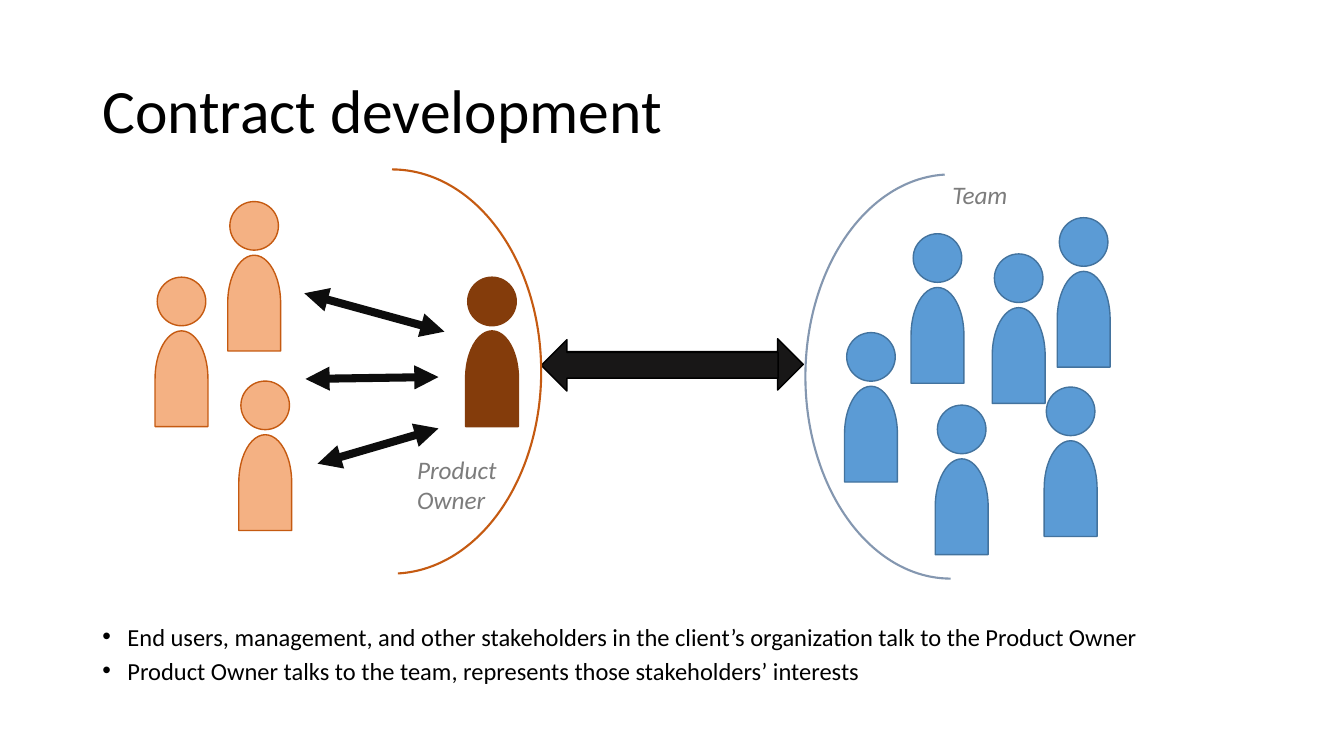
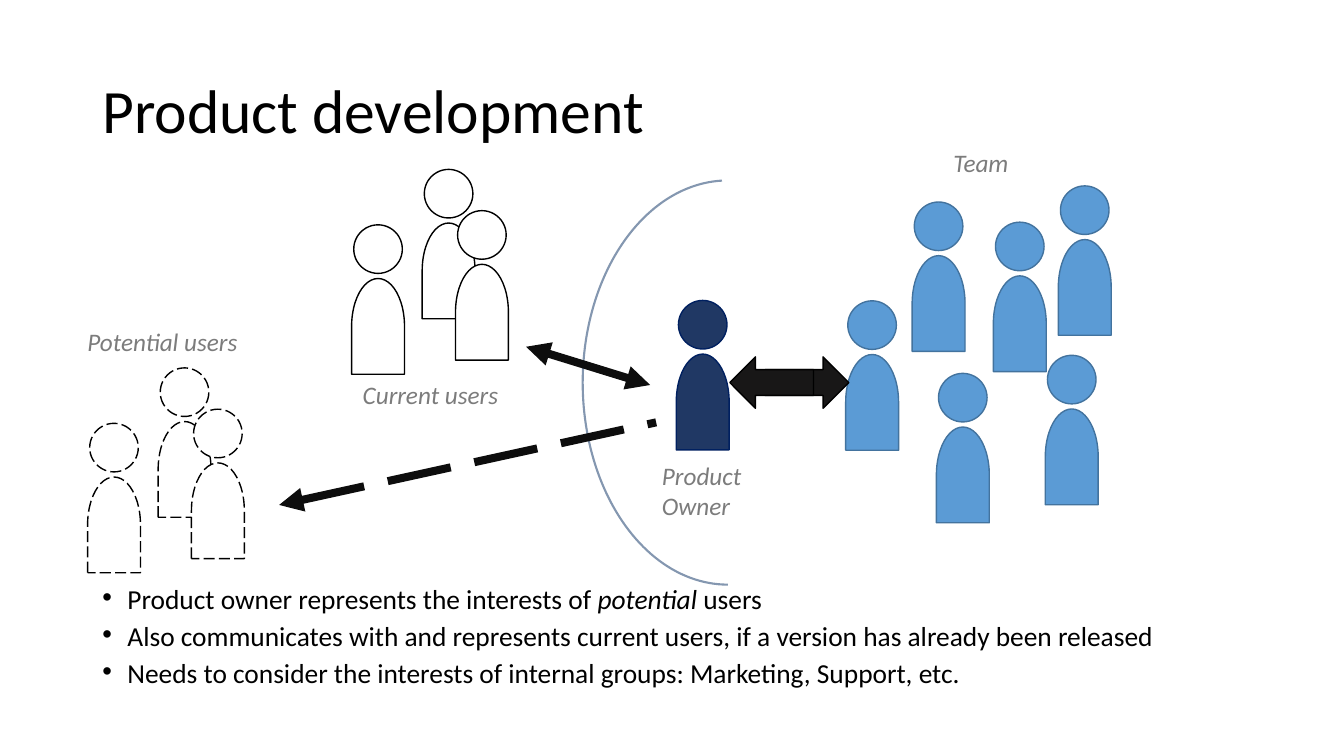
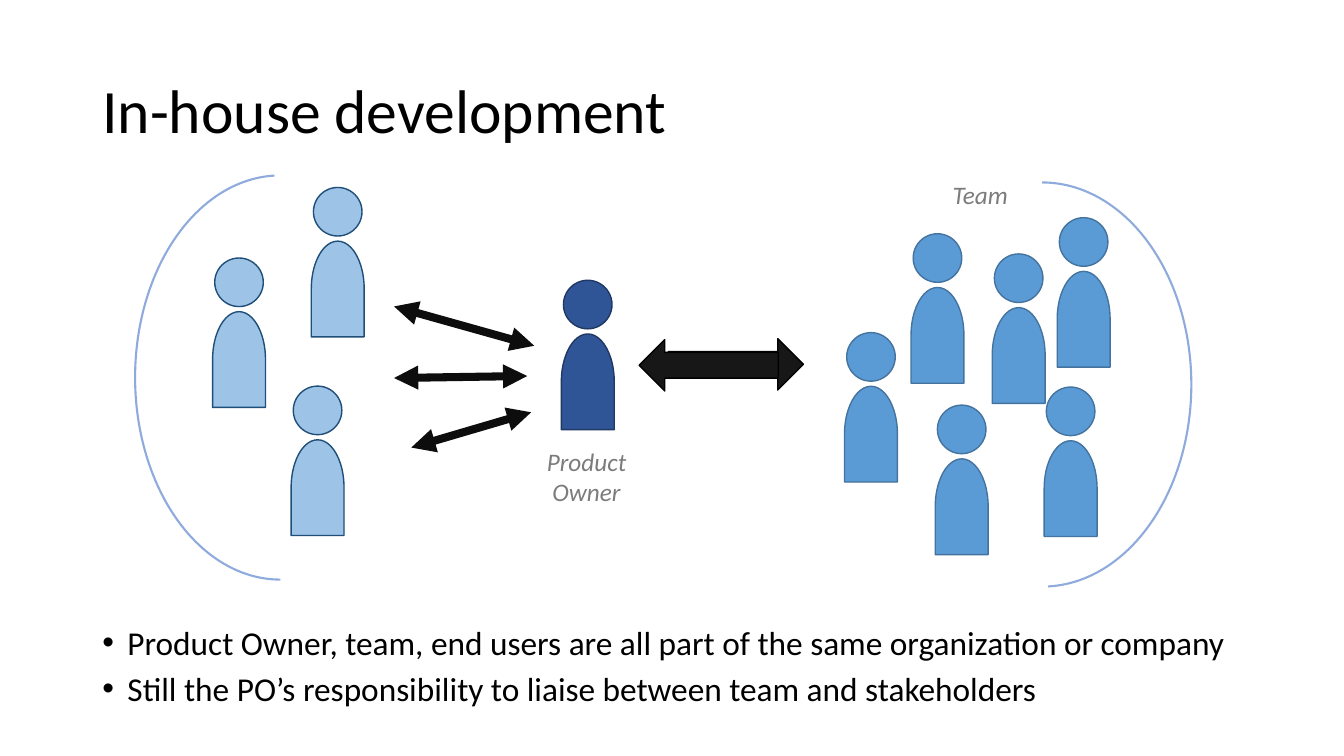
from dataclasses import dataclass

from lxml.etree import SubElement
from pptx import Presentation
from pptx.dml.color import RGBColor
from pptx.enum.dml import MSO_LINE
from pptx.enum.shapes import MSO_CONNECTOR, MSO_SHAPE
from pptx.enum.text import MSO_ANCHOR, PP_ALIGN
from pptx.oxml.ns import qn
from pptx.util import Pt


@dataclass(frozen=True)
class Theme:
    font: str = "Calibri"
    title_size: float = 44
    label_size: float = 18
    text: str = "000000"
    label: str = "7C7C7C"
    thin_arrow: str = "0D0D0D"
    block_arrow: str = "181717"
    client_arc: str = "C55A11"
    team_arc: str = "8497B0"
    house_arc: str = "8FAADC"
    # People: fill, outline, dashed outline
    team: tuple = ("5B9BD5", "43739E", False)
    client: tuple = ("F4B183", "C55A11", False)
    client_owner: tuple = ("843C0B", "843C0B", False)
    current: tuple = ("FFFFFF", "000000", False)
    potential: tuple = ("FFFFFF", "000000", True)
    product_owner: tuple = ("203864", "002060", False)
    staff: tuple = ("9DC3E6", "1F4E79", False)
    staff_owner: tuple = ("2F5597", "203864", False)


T = Theme()
HEAD = 34.7
BODY_LONG, BODY_WIDE, BODY_DROP = 68.4, 37.8, 53.6
BLOCK_HEIGHT = 36.7
ARC_HEIGHT = 288.7
ARC_WIDTH = {0: 213.1, 180: 207.4}  # by rotation

# Head positions inside each crowd
TEAM = [(47.5, 11.5), (105.5, 25.9), (0, 82.1), (151.9, 0), (64.8, 133.9), (142.6, 121)]
USERS = [(50.4, 0), (0, 39.6), (74.2, 29.5)]
CLIENTS = [(51.9, 0), (0, 54), (59.8, 128.2)]
STAFF = [(70.5, 0), (0, 50.4), (56.1, 141.9)]
ONE = [(0, 0)]

# Crowds: look, origin, heads. Arcs: rotation, left, top, colour.
# Thin arrows: from, to, dashed. Block arrows: left, top, width.
SLIDES = [
    dict(
        title="Contract development",
        crowds=[(T.team, (604.8, 155.5), TEAM), (T.client, (112.3, 144), CLIENTS),
                (T.client_owner, (334.1, 198), ONE)],
        right_arrow=(404.6, 241.9, 169.2), left_arrow=(386.6, 242.6, 169.2),
        arcs=[(180, 575.3, 124.6, T.team_arc), (0, 173.5, 121, T.client_arc)],
        arrows=[(217.4, 209.5, 317.5, 236.9, False), (218.2, 270.7, 313.2, 269.3, False),
                (226.8, 331.2, 313.2, 306, False)],
        labels=[("Team", (673.2, 124.6, 54, 28.8)),
                ("Product\nOwner", (290.9, 321.1, 72, 51.1))],
        label_align=PP_ALIGN.LEFT,
        body=(446.4, 64.8, 17.5, 0.7),
        bullets=[
            [("End users, management, and other stakeholders in the client’s organization "
              "talk to the Product Owner", False)],
            [("Product Owner talks to the team, represents those stakeholders’ interests", False)],
        ],
    ),
    dict(
        title="Product development",
        crowds=[(T.team, (605.6, 132.8), TEAM), (T.potential, (64.1, 262.8), USERS),
                (T.current, (252.7, 121), USERS), (T.product_owner, (484.6, 214.6), ONE)],
        right_arrow=(546.5, 254.9, 59.8), left_arrow=(521.3, 254.9, 59.8),
        arcs=[(180, 416.2, 128.9, T.team_arc)],
        arrows=[(199.4, 360.7, 468.7, 301.7, True), (375.8, 247.7, 464.4, 275, False)],
        labels=[("Team", (673.9, 101.5, 54, 28.8)),
                ("Product\nOwner", (465.8, 325.4, 72, 51.1)),
                ("Potential users", (55.4, 229.7, 123.8, 28.8)),
                ("Current users", (252, 267.1, 112.3, 28.8))],
        label_align=PP_ALIGN.LEFT,
        body=(418.3, 92.9, 19.6, 0.7),
        bullets=[
            [("Product owner represents the interests of ", False), ("potential", True),
             (" users", False)],
            [("Also communicates with and represents current users, if a version has "
              "already been released", False)],
            [("Needs to consider the interests of internal groups: Marketing, Support, etc.",
              False)],
        ],
    ),
    dict(
        title="In-house development",
        crowds=[(T.team, (604.8, 155.5), TEAM), (T.staff, (153.4, 133.9), STAFF),
                (T.staff_owner, (402.5, 200.2), ONE)],
        right_arrow=(477.4, 241.9, 96.5), left_arrow=(456.5, 242.6, 99.4),
        arcs=[(180, 96.5, 125.3, T.house_arc), (0, 637.9, 130.3, T.house_arc)],
        arrows=[(281.5, 218.9, 381.6, 247, False), (281.5, 270, 376.6, 268.6, False),
                (293.8, 319.7, 379.4, 294.5, False)],
        labels=[("Team", (673.2, 124.6, 54, 28.8)),
                ("Product\nOwner", (383, 315.4, 72, 51.1))],
        label_align=PP_ALIGN.CENTER,
        body=(446.4, 64.8, 23.8, 0.8),
        bullets=[
            [("Product Owner, team, end users are all part of the same organization or company",
              False)],
            [("Still the PO’s responsibility to liaise between team and stakeholders", False)],
        ],
    ),
]


def add_shape(shapes, kind, box, fill, line, width=1, dashed=False):
    sp = shapes.add_shape(kind, *map(Pt, box))
    sp.shadow.inherit = False
    if fill:
        sp.fill.solid()
        sp.fill.fore_color.rgb = RGBColor.from_string(fill)
    else:
        sp.fill.background()
    sp.line.color.rgb = RGBColor.from_string(line)
    sp.line.width = Pt(width)
    if dashed:
        sp.line.dash_style = MSO_LINE.LONG_DASH
    return sp


def add_text(s, box, paras, size, colour, spacing=1.0, wrap=True):
    tf = s.shapes.add_textbox(*map(Pt, box)).text_frame
    tf.word_wrap = wrap
    for i, runs in enumerate(paras):
        p = tf.add_paragraph() if i else tf.paragraphs[0]
        p.line_spacing = spacing
        p.space_before = Pt(10 if i else 0)
        for text, italic in runs:
            for j, row in enumerate(text.split("\n")):
                if j:
                    p.add_line_break()
                r = p.add_run()
                r.text = row
                r.font.name = T.font
                r.font.size = Pt(size)
                r.font.italic = italic
                r.font.color.rgb = RGBColor.from_string(colour)
    return tf


prs = Presentation()
prs.slide_width, prs.slide_height = Pt(960), Pt(540)

for d in SLIDES:
    s = prs.slides.add_slide(prs.slide_layouts[6])

    # Title
    tf = add_text(s, (66, 28.8, 828, 104.4), [[(d["title"], False)]], T.title_size, T.text, 0.9)
    tf.vertical_anchor = MSO_ANCHOR.MIDDLE

    # Bullets
    top, height, size, spacing = d["body"]
    tf = add_text(s, (66, top, 828, height), d["bullets"], size, T.text, spacing)
    for p in tf.paragraphs:
        pPr = p._p.get_or_add_pPr()
        pPr.set("marL", str(Pt(18)))
        pPr.set("indent", str(Pt(-18)))
        SubElement(pPr, qn("a:buFont"), typeface="Arial")
        SubElement(pPr, qn("a:buChar"), char="•")

    # People: a head and an upright body, grouped
    for (fill, line, dashed), (left, top), heads in d["crowds"]:
        for dx, dy in heads:
            x, y = left + dx, top + dy
            person = s.shapes.add_group_shape().shapes
            add_shape(person, MSO_SHAPE.OVAL, (x, y, HEAD, HEAD), fill, line, dashed=dashed)
            body_box = (x + (HEAD - BODY_LONG) / 2, y + BODY_DROP, BODY_LONG, BODY_WIDE)
            body = add_shape(person, MSO_SHAPE.FLOWCHART_DELAY, body_box, fill, line, dashed=dashed)
            body.rotation = 270

    # Block arrows, overlapping into a double-headed one
    for kind, key in ((MSO_SHAPE.RIGHT_ARROW, "right_arrow"), (MSO_SHAPE.LEFT_ARROW, "left_arrow")):
        add_shape(s.shapes, kind, (*d[key], BLOCK_HEIGHT), T.block_arrow, T.text)

    # Arcs bounding the organizations
    for rotation, x, y, colour in d["arcs"]:
        box = (x, y, ARC_WIDTH[rotation], ARC_HEIGHT)
        arc = add_shape(s.shapes, MSO_SHAPE.ARC, box, None, colour, 1.5)
        arc.adjustments[0], arc.adjustments[1] = 162, 52.997
        arc.rotation = rotation

    # Thin arrows
    for *ends, dashed in d["arrows"]:
        cn = s.shapes.add_connector(MSO_CONNECTOR.STRAIGHT, *map(Pt, ends))
        cn.line.color.rgb = RGBColor.from_string(T.thin_arrow)
        cn.line.width = Pt(5.75)
        if dashed:
            cn.line.dash_style = MSO_LINE.LONG_DASH
        ln = cn.line._get_or_add_ln()
        for tag in ("a:headEnd",) if dashed else ("a:headEnd", "a:tailEnd"):
            SubElement(ln, qn(tag), type="triangle")
        SubElement(cn._element.spPr, qn("a:effectLst"))

    # Labels
    for text, box in d["labels"]:
        tf = add_text(s, box, [[(text, True)]], T.label_size, T.label, wrap=False)
        tf.paragraphs[0].alignment = d["label_align"]

prs.save("out.pptx")
